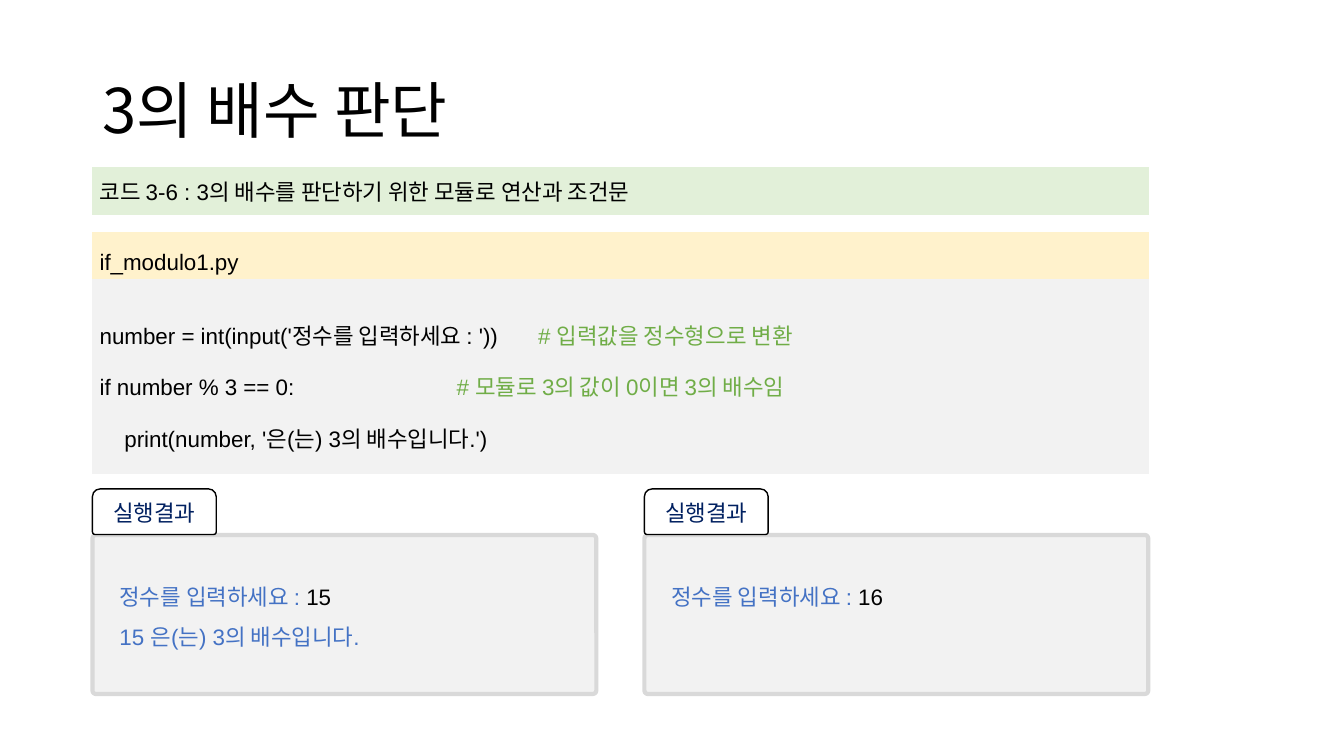
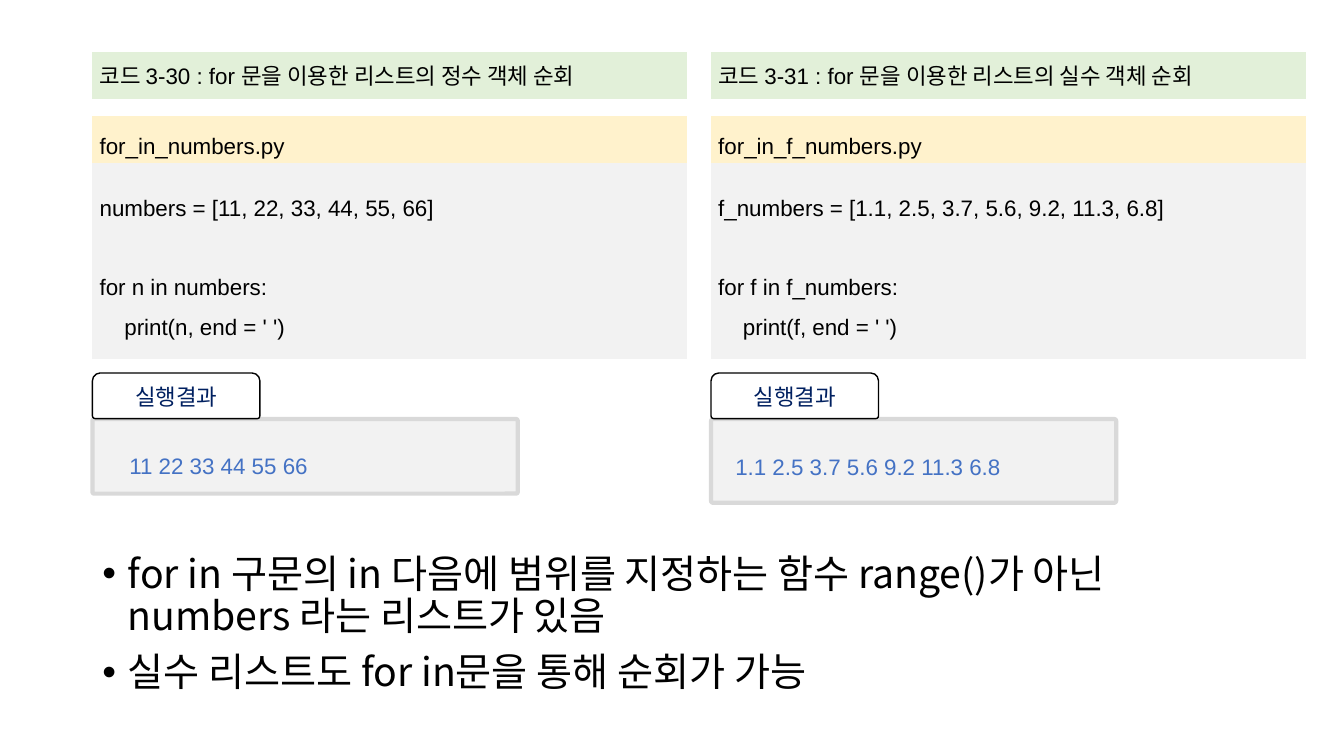
"""Build two lecture slides that show Python code and its results."""
from lxml import etree
from pptx import Presentation
from pptx import util as u
from pptx.dml import color
from pptx.enum import shapes, text
from pptx.oxml import ns

COLORS = {
    "black": "000000", "white": "FFFFFF", "navy": "002060", "blue": "4472C4",
    "comment": "70AD47", "heading": "E2F0D9", "file": "FFF2CC",
    "panel": "F2F2F2", "border": "D9D9D9",
}
LATIN, KOREAN = "Arial", "Noto Sans CJK KR"
NO_TABLE_STYLE = "{2D5ABB26-0587-4C30-8999-92F81FD0307C}"
CELL = {"margin_left": u.Cm(0.18), "margin_right": u.Cm(0.18),
        "margin_top": u.Cm(0.05), "margin_bottom": u.Cm(0.05),
        "vertical_anchor": text.MSO_ANCHOR.MIDDLE}
CODE = {"alignment": text.PP_ALIGN.JUSTIFY, "line_spacing": 1.6}
CODE_GAP = u.Pt(28)
TAB_STOPS = (9, 11.05)
LEFT = 2.33


def rgb(name):
    """Return the named colour."""
    return color.RGBColor.from_string(COLORS[name])


def apply(target, values):
    """Set every attribute in a dict of format values."""
    for name, value in values.items():
        setattr(target, name, value)


def add_element(parent, tag, **attributes):
    """Append a drawing element to a parent element."""
    values = {name: str(value) for name, value in attributes.items()}
    return etree.SubElement(parent, ns.qn(tag), values)


def set_bullet(paragraph):
    """Give a paragraph a hanging round bullet."""
    properties = paragraph._p.get_or_add_pPr()
    properties.set("marL", str(u.Cm(0.64)))
    properties.set("indent", str(-u.Cm(0.64)))
    add_element(properties, "a:buFont", typeface=LATIN)
    add_element(properties, "a:buChar", char="•")


def set_tabs(paragraph):
    """Give a code line the stops where its comments begin."""
    tabs = add_element(paragraph._p.get_or_add_pPr(), "a:tabLst")
    for stop in TAB_STOPS:
        add_element(tabs, "a:tab", pos=u.Cm(stop), algn="l")


def write(frame, lines, values=None, font=LATIN, size=16, prepare=None, gap=0):
    """Write lines of (text, colour) runs; an empty line widens the next gap."""
    used, pending = 0, gap
    for line in lines:
        if not line:
            pending = CODE_GAP
            continue
        paragraph = frame.add_paragraph() if used else frame.paragraphs[0]
        if prepare:
            prepare(paragraph)
        apply(paragraph, values or {})
        if used and pending:
            paragraph.space_before = pending
        for words, name in line:
            run = paragraph.add_run()
            run.text = words
            apply(run.font, {"size": u.Pt(size), "name": font})
            run.font.color.rgb = rgb(name)
            add_element(run._r.get_or_add_rPr(), "a:ea", typeface=KOREAN)
        used, pending = used + 1, gap


def add_text(container, box, lines, anchor=text.MSO_ANCHOR.TOP, **options):
    """Add a wrapping text box."""
    frame = container.add_textbox(*map(u.Cm, box)).text_frame
    apply(frame, {"word_wrap": True, "vertical_anchor": anchor})
    write(frame, lines, **options)


def add_panel(container, kind, box, adjustments, fill, line, width):
    """Add a filled and outlined shape."""
    shape = container.add_shape(kind, *map(u.Cm, box))
    shape.shadow.inherit = False
    for index, value in enumerate(adjustments):
        shape.adjustments[index] = value
    shape.fill.solid()
    shape.fill.fore_color.rgb = rgb(fill)
    shape.line.color.rgb = rgb(line)
    shape.line.width = u.Pt(width)
    return shape


def add_listing(slide, left, top, width, file_height, heading, file_name, code):
    """Add a table with a heading, a gap, a file name and code."""
    heights = (1.19, 0.43, file_height, 4.93)
    box = (left, top, width, sum(heights))
    table = slide.shapes.add_table(4, 1, *map(u.Cm, box)).table
    apply(table, {"first_row": False, "horz_banding": False})
    table._tbl.tblPr.find(ns.qn("a:tableStyleId")).text = NO_TABLE_STYLE
    rows = (
        ("heading", [[(heading, "black")]], {}, None),
        (None, [], {}, None),
        ("file", [[(file_name, "black")]], CODE, None),
        ("panel", code, CODE, set_tabs),
    )
    for index, (fill, lines, values, prepare) in enumerate(rows):
        table.rows[index].height = u.Cm(heights[index])
        cell = table.cell(index, 0)
        apply(cell, CELL)
        if fill:
            cell.fill.solid()
            cell.fill.fore_color.rgb = rgb(fill)
            write(cell.text_frame, lines, values, prepare=prepare)
        else:
            cell.fill.background()
            add_element(cell.text_frame.paragraphs[0]._p, "a:endParaRPr", sz=500)


def add_result(slide, left, top, width, height, tab_width, inset, lines):
    """Add a grouped result panel with its label tab and output."""
    group = slide.shapes.add_group_shape().shapes
    panel_top = top + 1.16
    add_panel(group, shapes.MSO_SHAPE.ROUNDED_RECTANGLE,
              (left, panel_top, width, height), (0.023,), "panel", "border", 3)
    label = add_panel(group, shapes.MSO_SHAPE.ROUND_2_SAME_RECTANGLE,
                      (left, top, tab_width, 1.15), (0.17, 0.06), "white", "black", 1)
    label.text_frame.vertical_anchor = text.MSO_ANCHOR.MIDDLE
    write(label.text_frame, [[("실행결과", "navy")]],
          {"alignment": text.PP_ALIGN.CENTER}, font=KOREAN)
    across, down = inset
    box = (left + across, panel_top + down, width - across, 1.17 * len(lines))
    add_text(group, box, lines, values={"line_spacing": 1.5})


def build_multiples(slide):
    """Build the slide on multiples of three."""
    add_text(slide.shapes, (LEFT, 1.02, 29.21, 3.68), [[("3의 배수 판단", "black")]],
             text.MSO_ANCHOR.MIDDLE, values={"line_spacing": 0.9}, font=KOREAN, size=44)
    code = [
        [("number = int(input('정수를 입력하세요 : '))", "black"),
         ("\t# 입력값을 정수형으로 변환", "comment")],
        [("if number % 3 == 0:", "black"),
         ("\t# 모듈로 3의 값이 0이면 3의 배수임", "comment")],
        [("    print(number, '은(는) 3의 배수입니다.')", "black")],
    ]
    add_listing(slide, LEFT, 4.22, 26.62, 1.09,
                "코드 3-6 : 3의 배수를 판단하기 위한 모듈로 연산과 조건문",
                "if_modulo1.py", code)
    outputs = (("15", [[("15 은(는) 3의 배수입니다.", "blue")]]), ("16", []))
    for index, (number, answer) in enumerate(outputs):
        prompt = [("정수를 입력하세요 : ", "blue"), (number, "black")]
        add_result(slide, LEFT + index * 13.91, 12.32, 12.7, 4.01, 3.12,
                   (0.43, 0.74), [prompt] + answer)


def build_loops(slide):
    """Build the slide on looping over lists."""
    examples = (
        ("코드 3-30 : for 문을 이용한 리스트의 정수 객체 순회", "for_in_numbers.py",
         ("numbers = [11, 22, 33, 44, 55, 66]", "", "for n in numbers:",
          "    print(n, end = ' ')"),
         "11 22 33 44 55 66", (10.72, 1.88), (0.68, 0.36)),
        ("코드 3-31 : for 문을 이용한 리스트의 실수 객체 순회", "for_in_f_numbers.py",
         ("f_numbers = [1.1, 2.5, 3.7, 5.6, 9.2, 11.3, 6.8]", "", "for f in f_numbers:",
          "    print(f, end = ' ')"),
         "1.1 2.5 3.7 5.6 9.2 11.3 6.8", (10.21, 2.11), (0.36, 0.39)),
    )
    for index, (heading, file_name, code, output, size, inset) in enumerate(examples):
        left = LEFT + index * 15.59
        lines = [[(line, "black")] if line else [] for line in code]
        add_listing(slide, left, 1.3, 14.99, 1.17, heading, file_name, lines)
        add_result(slide, left, 9.4, *size, 4.22, inset, [[(output, "blue")]])
    notes = ("for in 구문의 in 다음에 범위를 지정하는 함수 range()가 아닌 numbers 라는 리스트가 있음",
             "실수 리스트도 for in문을 통해 순회가 가능")
    add_text(slide.shapes, (LEFT, 13.84, 29.97, 4.04), [[(note, "black")] for note in notes],
             values={"line_spacing": 0.9}, font=KOREAN, size=28,
             prepare=set_bullet, gap=u.Pt(10))


def main():
    """Build and save the presentation."""
    presentation = Presentation()
    apply(presentation, {"slide_width": u.Cm(33.87), "slide_height": u.Cm(19.05)})
    for build in (build_multiples, build_loops):
        build(presentation.slides.add_slide(presentation.slide_layouts[6]))
    presentation.save("out.pptx")


if __name__ == "__main__":
    main()
